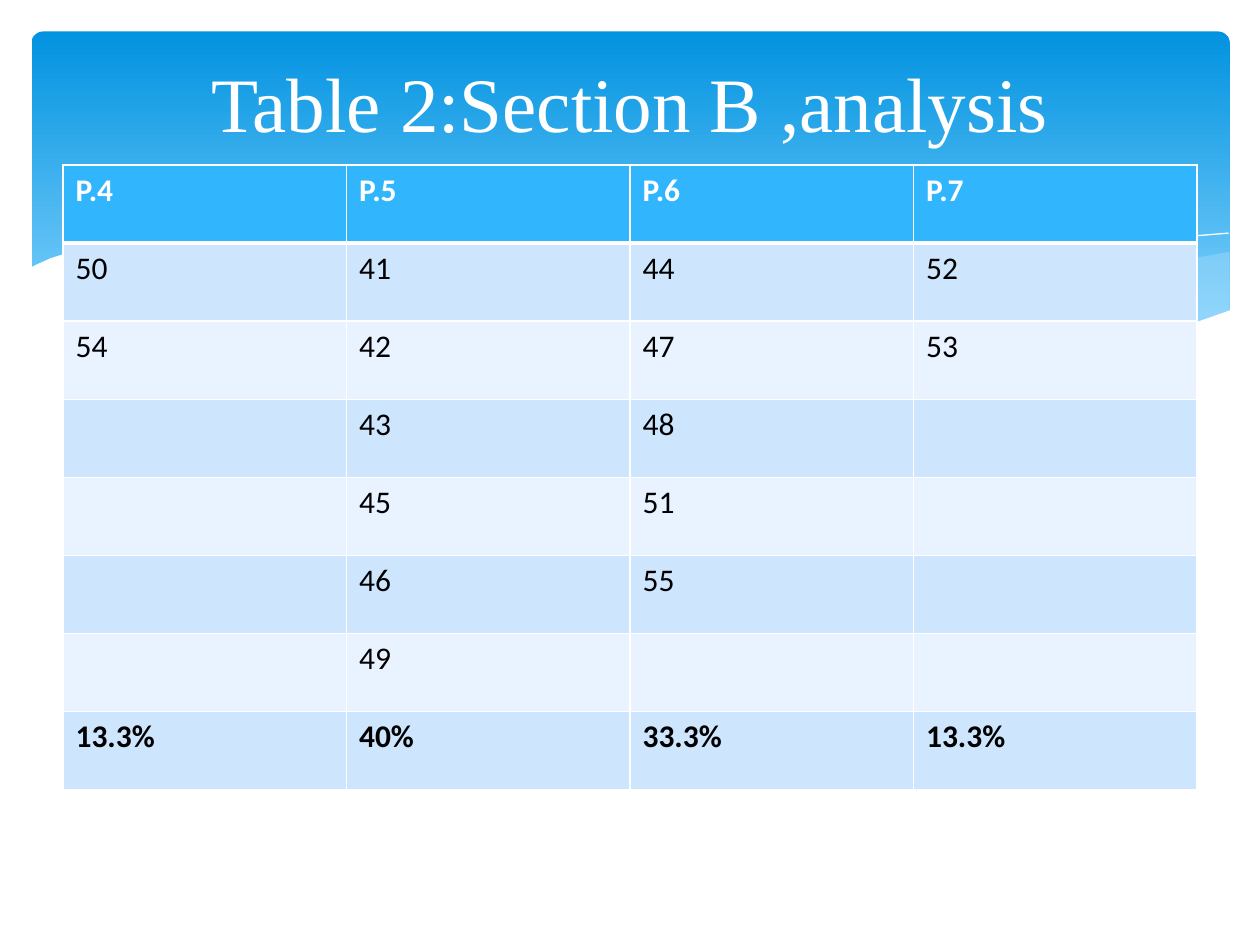
"""Build the slide with the Section B table under a blue wave banner."""
from lxml.etree import SubElement
from pptx import Presentation
from pptx.dml.color import RGBColor
from pptx.enum.shapes import MSO_SHAPE
from pptx.enum.text import MSO_ANCHOR, PP_ALIGN
from pptx.oxml.ns import qn
from pptx.util import Inches, Pt

WHITE = RGBColor(0xFF, 0xFF, 0xFF)
BLACK = RGBColor(0x00, 0x00, 0x00)
BANNER_TOP = RGBColor(0x02, 0x93, 0xE0)
BANNER_BOTTOM = RGBColor(0x83, 0xD3, 0xFE)
WAVE = RGBColor(0xC6, 0xE7, 0xFC)
HEADER = RGBColor(0x31, 0xB6, 0xFD)
BAND_DARK = RGBColor(0xCE, 0xE5, 0xFE)
BAND_LIGHT = RGBColor(0xE8, 0xF3, 0xFF)

RIGHT_WAVE = [(975, 200), (935, 207), (861, 223), (779, 242), (706, 257), (661, 265),
              (719, 271), (769, 277), (814, 278), (854, 276), (889, 272), (921, 265),
              (949, 257), (976, 247), (976, 200)]
MIDDLE_WAVE = [(893, 273), (837, 265), (775, 254), (706, 240), (629, 222), (569, 208),
               (514, 198), (465, 191), (420, 187), (361, 185), (313, 188), (286, 191),
               (342, 199), (404, 211), (491, 232), (566, 248), (634, 261), (695, 270),
               (748, 276), (796, 278), (848, 277), (893, 273)]
LONG_LINE = [(309, 195), (344, 190), (387, 187), (433, 187), (489, 190), (556, 197),
             (636, 208), (727, 226), (831, 251), (907, 272)]
SHORT_LINE = [(613, 257), (653, 246), (695, 235), (748, 223), (806, 210), (866, 199),
              (910, 192), (951, 187), (975, 185)]
LOWER_MASK = [(977, 246), (940, 259), (899, 269), (850, 275), (809, 277), (761, 275),
              (708, 270), (648, 262), (579, 250), (503, 233), (447, 220), (391, 207),
              (340, 197), (292, 190), (250, 186), (211, 184), (161, 184), (119, 187),
              (85, 193), (59, 199), (40, 205), (29, 210), (23, 213), (23, 329), (977, 329)]

ROWS = [
    ["P.4", "P.5", "P.6", "P.7"],
    ["50", "41", "44", "52"],
    ["54", "42", "47", "53"],
    ["", "43", "48", ""],
    ["", "45", "51", ""],
    ["", "46", "55", ""],
    ["", "49", "", ""],
    ["13.3%", "40%", "33.3%", "13.3%"],
]


def add_outline(shapes, points, closed):
    builder = shapes.build_freeform(*points[0], scale=Inches(0.01))
    builder.add_line_segments(points[1:], close=closed)
    shape = builder.convert_to_shape()
    shape.shadow.inherit = False
    return shape


def add_border(cell, side, width):
    line = SubElement(cell._tc.get_or_add_tcPr(), qn(f"a:ln{side}"), w=str(Pt(width)))
    fill = SubElement(line, qn("a:solidFill"))
    SubElement(fill, qn("a:srgbClr"), val=str(WHITE))


presentation = Presentation()
presentation.slide_width = Inches(10)
presentation.slide_height = Inches(7.5)
slide = presentation.slides.add_slide(presentation.slide_layouts[5])
shapes = slide.shapes

banner = shapes.add_shape(MSO_SHAPE.ROUNDED_RECTANGLE, Inches(0.25), Inches(0.25),
                          Inches(9.51), Inches(2.7))
banner.adjustments[0] = 0.034
banner.shadow.inherit = False
banner.line.fill.background()
banner.fill.gradient()
banner.fill.gradient_angle = 270
for stop, position, color in zip(banner.fill.gradient_stops, (0, 0.9),
                                 (BANNER_TOP, BANNER_BOTTOM)):
    stop.position = position
    stop.color.rgb = color

for points, opacity in ((RIGHT_WAVE, 29), (MIDDLE_WAVE, 40)):
    wave = add_outline(shapes, points, True)
    wave.line.fill.background()
    wave.fill.solid()
    wave.fill.fore_color.rgb = WAVE
    color = wave.element.spPr.find(qn("a:solidFill")).find(qn("a:srgbClr"))
    SubElement(color, qn("a:alpha"), val=str(opacity * 1000))

for points in (LONG_LINE, SHORT_LINE):
    curve = add_outline(shapes, points, False)
    curve.fill.background()
    curve.line.color.rgb = WHITE
    curve.line.width = Pt(0)

mask = add_outline(shapes, LOWER_MASK, True)
mask.line.fill.background()
mask.fill.solid()
mask.fill.fore_color.rgb = WHITE

table = shapes.add_table(len(ROWS), len(ROWS[0]), Inches(0.5), Inches(1.31),
                         Inches(9), Inches(0.62 * len(ROWS))).table
for row_index, values in enumerate(ROWS):
    is_header = row_index == 0
    band = BAND_DARK if row_index % 2 else BAND_LIGHT
    for column_index, value in enumerate(values):
        cell = table.cell(row_index, column_index)
        for side in "LRTB":
            thick = (is_header and side == "B") or (row_index == 1 and side == "T")
            add_border(cell, side, 3 if thick else 1)
        cell.fill.solid()
        cell.fill.fore_color.rgb = HEADER if is_header else band
        if value:
            run = cell.text_frame.paragraphs[0].add_run()
            run.text = value
            run.font.name = "Calibri"
            run.font.size = Pt(18)
            run.font.bold = row_index in (0, len(ROWS) - 1)
            run.font.color.rgb = WHITE if is_header else BLACK

title = shapes.title
title.left, title.top = Inches(0.5), Inches(0.3)
title.width, title.height = Inches(9), Inches(1.01)
title.text_frame.vertical_anchor = MSO_ANCHOR.MIDDLE
paragraph = title.text_frame.paragraphs[0]
paragraph.alignment = PP_ALIGN.CENTER
run = paragraph.add_run()
run.text = "Table 2:Section B ,analysis"
run.font.name = "Times New Roman"
run.font.size = Pt(44)
run.font.color.rgb = WHITE
title.element.getparent().append(title.element)

presentation.save("out.pptx")
